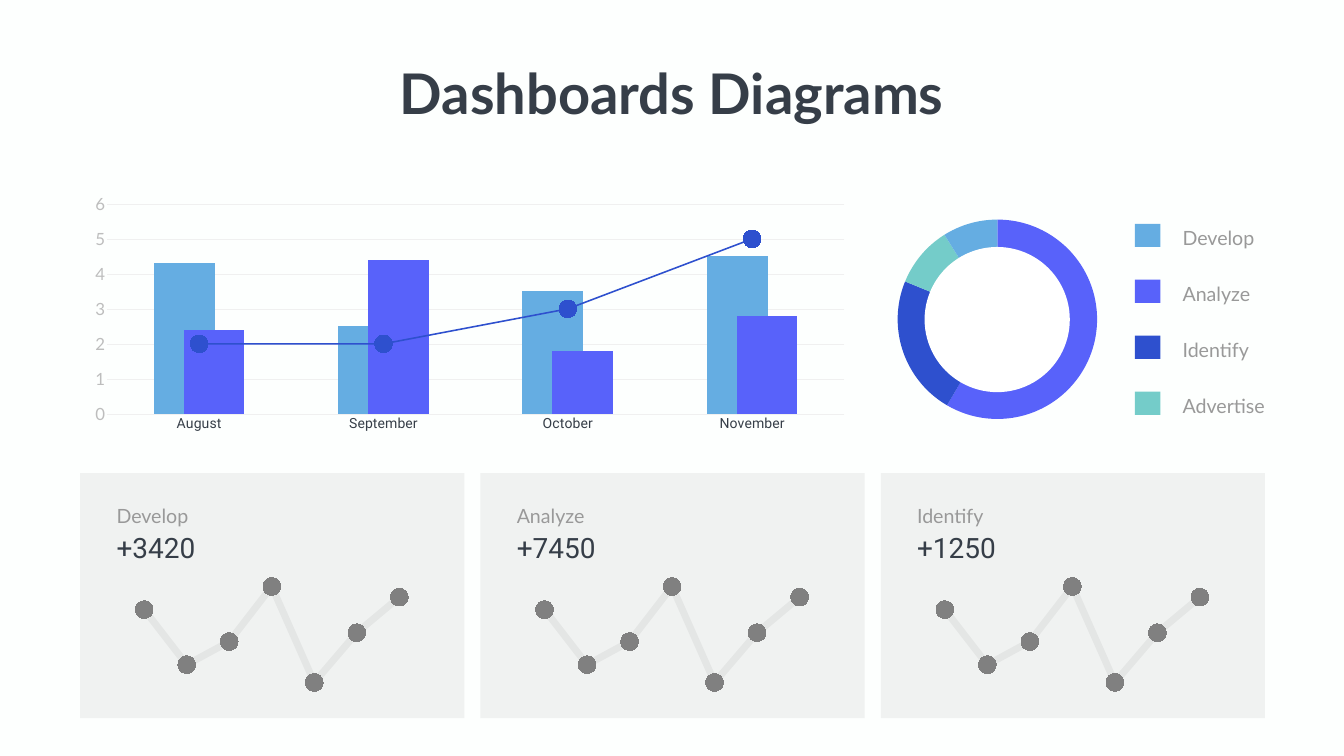
from dataclasses import dataclass

from lxml.etree import SubElement
from pptx import Presentation
from pptx.chart.data import CategoryChartData
from pptx.dml.color import RGBColor
from pptx.enum.chart import XL_CHART_TYPE, XL_MARKER_STYLE, XL_TICK_MARK
from pptx.enum.shapes import MSO_SHAPE
from pptx.enum.text import PP_ALIGN
from pptx.oxml import parse_xml
from pptx.oxml.ns import nsdecls, qn
from pptx.util import Pt


@dataclass(frozen=True)
class Theme:
    background: str = "FDFFFE"
    ink: str = "363E48"
    muted: str = "999999"
    scale: str = "BDBDBD"
    grid: str = "F0F0F0"
    gray: str = "808080"
    white: str = "FFFFFF"
    sky: str = "65ADE2"
    violet: str = "5862FA"
    blue: str = "2E50CE"
    teal: str = "74CCC9"
    heading_font: str = "Lato"
    number_font: str = "Roboto"
    title_size: int = 80
    figure_size: int = 40
    label_size: int = 28
    scale_size: int = 24
    category_size: int = 20
    marker_size: int = 25
    label_leading: float = 40.8


def style_font(font, size, color, name, bold=False):
    font.size, font.name, font.bold = Pt(size), name, bold
    font.color.rgb = RGBColor.from_string(color)


def paint(fill, color):
    fill.solid()
    fill.fore_color.rgb = RGBColor.from_string(color)


def draw_line(line, color, width):
    paint(line.fill, color)
    line.width = Pt(width)


def fade(element, percent):
    color = next(element.iter(qn("a:srgbClr")))
    SubElement(color, qn("a:alpha"), val=str(percent * 1000))


class DashboardPage:
    """Draws the elements of a dashboard page in one theme."""

    def __init__(self, deck, theme):
        self.theme = theme
        self.page = deck.slides.add_slide(deck.slide_layouts[6])
        paint(self.page.background.fill, theme.background)

    def text(self, place, words, size, color, font, bold=False, align=PP_ALIGN.LEFT,
             leading=None, insets=(7.2, 3.6), wrap=True):
        frame = self.page.shapes.add_textbox(*map(Pt, place)).text_frame
        frame.word_wrap = wrap
        frame.margin_left = frame.margin_right = Pt(insets[0])
        frame.margin_top = frame.margin_bottom = Pt(insets[1])
        frame.text = words
        paragraph = frame.paragraphs[0]
        paragraph.alignment = align
        if leading:
            paragraph.line_spacing = Pt(leading)
        style_font(paragraph.runs[0].font, size, color, font, bold)

    def label(self, place, words, insets=(7.2, 3.6)):
        theme = self.theme
        self.text(place, words, theme.label_size, theme.muted, theme.heading_font,
                  leading=theme.label_leading, insets=insets)

    def shape(self, kind, place, color, opacity=None):
        shape = self.page.shapes.add_shape(kind, *map(Pt, place))
        shape.shadow.inherit = False
        paint(shape.fill, color)
        shape.line.fill.background()
        if opacity:
            fade(shape.element.spPr, opacity)

    def chart(self, kind, place, categories, columns, layout):
        data = CategoryChartData()
        data.categories = categories
        for number, values in enumerate(columns, 1):
            data.add_series(f"Series {number}", values)
        chart = self.page.shapes.add_chart(kind, *map(Pt, place), data).chart
        chart.has_legend = chart.has_title = False
        style_font(chart.font, self.theme.category_size, self.theme.muted, self.theme.heading_font)
        root = chart.element
        root.find(qn("c:chart")).addnext(parse_xml(
            f"<c:spPr {nsdecls('c', 'a')}><a:noFill/><a:ln><a:noFill/></a:ln></c:spPr>"))
        area = next(root.iter(qn("c:plotArea")))
        for old in area.findall(qn("c:layout")):
            area.remove(old)
        frame = SubElement(area, qn("c:layout"))
        area.insert(0, frame)
        manual = SubElement(frame, qn("c:manualLayout"))
        settings = [("layoutTarget", "inner"), ("xMode", "edge"), ("yMode", "edge")]
        for tag, value in settings + list(zip("xywh", layout)):
            SubElement(manual, qn(f"c:{tag}"), val=str(value))
        return chart

    def line_series(self, series, color, width):
        series.smooth = False
        draw_line(series.format.line, color, width)
        series.marker.style = XL_MARKER_STYLE.CIRCLE
        series.marker.size = self.theme.marker_size
        paint(series.marker.format.fill, color)
        series.marker.format.line.fill.background()

    def combined_chart(self, place, categories, columns, colors):
        theme = self.theme
        chart = self.chart(XL_CHART_TYPE.COLUMN_CLUSTERED, place, categories, columns,
                           (0.04, 0.07, 0.94, 0.82))
        bars = chart.plots[0]
        bars.vary_by_categories = False
        bars.gap_width, bars.overlap = 154, 51
        bar_group = next(chart.element.iter(qn("c:barChart")))
        trend = bar_group.findall(qn("c:ser"))[-1]
        for flag in trend.findall(qn("c:invertIfNegative")):
            trend.remove(flag)
        line_group = parse_xml(
            f'<c:lineChart {nsdecls("c")}><c:grouping val="standard"/>'
            '<c:varyColors val="0"/><c:marker val="1"/></c:lineChart>')
        line_group.insert(2, trend)
        for axis in bar_group.findall(qn("c:axId")):
            SubElement(line_group, qn("c:axId"), val=axis.get("val"))
        bar_group.addnext(line_group)
        for series, color in zip(bars.series, colors):
            paint(series.format.fill, color)
        self.line_series(chart.plots[1].series[0], colors[-1], 2.25)
        for axis in (chart.category_axis, chart.value_axis):
            axis.major_tick_mark = axis.minor_tick_mark = XL_TICK_MARK.NONE
        draw_line(chart.category_axis.format.line, theme.grid, 0.75)
        style_font(chart.category_axis.tick_labels.font, theme.category_size, theme.ink,
                   theme.number_font)
        scale = chart.value_axis
        scale.minimum_scale, scale.maximum_scale, scale.major_unit = 0, 6, 1
        scale.format.line.fill.background()
        draw_line(scale.major_gridlines.format.line, theme.grid, 0.75)
        style_font(scale.tick_labels.font, theme.scale_size, theme.scale, theme.heading_font)

    def ring(self, place, values, colors, hole):
        names = [str(number) for number in range(1, len(values) + 1)]
        chart = self.chart(XL_CHART_TYPE.PIE, place, names, [values], (0.05, 0.03, 0.9, 0.94))
        for index, color in enumerate(colors):
            point = chart.plots[0].series[0].points[index].format
            paint(point.fill, color)
            point.line.fill.background()
        self.shape(MSO_SHAPE.OVAL, hole, self.theme.white)

    def sparkline(self, place, values):
        names = [str(number) for number in range(1, len(values) + 1)]
        chart = self.chart(XL_CHART_TYPE.LINE_MARKERS, place, names, [values],
                           (0.02, 0.02, 0.96, 0.96))
        chart.plots[0].vary_by_categories = False
        self.line_series(chart.plots[0].series[0], self.theme.gray, 10)
        fade(next(next(chart.element.iter(qn("c:ser"))).iter(qn("a:ln"))), 10)
        chart.value_axis.has_major_gridlines = False
        chart.value_axis.minimum_scale, chart.value_axis.maximum_scale = 0, 116
        chart.category_axis.visible = chart.value_axis.visible = False

    def legend(self, left, top, pitch, entries):
        for row, (name, color) in enumerate(entries):
            y = top + row * pitch
            self.shape(MSO_SHAPE.RECTANGLE, (left, y, 36.7, 33.1), color)
            self.label((left + 51, y - 12.3, 157.7, 54.7), name, insets=(17.3, 8.6))

    def card(self, left, top, name, figure, values):
        theme = self.theme
        self.shape(MSO_SHAPE.RECTANGLE, (left, top, 548.6, 350), theme.gray, opacity=10)
        self.label((left + 44.8, top + 33.8, 162, 44.6), name)
        self.text((left + 44.8, top + 78.5, 212.4, 55.4), figure, theme.figure_size,
                  theme.ink, theme.number_font)
        self.sparkline((left + 52.3, top + 115.2, 442.8, 306.7), values)


def main():
    deck = Presentation()
    deck.slide_width, deck.slide_height = Pt(1919.52), Pt(1080)
    theme = Theme()
    board = DashboardPage(deck, theme)
    board.combined_chart(
        (108, 265.7, 1120.3, 365.8), ["August", "September", "October", "November"],
        [(4.3, 2.5, 3.5, 4.5), (2.4, 4.4, 1.8, 2.8), (2, 2, 3, 5)],
        [theme.sky, theme.violet, theme.blue])
    board.legend(1620.7, 319.7, 79.92, [("Develop", theme.sky), ("Analyze", theme.violet),
                                        ("Identify", theme.blue), ("Advertise", theme.teal)])
    board.ring((1265, 304.6, 319, 303.1), (59, 23, 10, 9),
               [theme.violet, theme.blue, theme.teal, theme.sky], (1320.5, 352.8, 207.4, 207.4))
    cards = [("Develop", "+3420"), ("Analyze", "+7450"), ("Identify", "+1250")]
    for column, (name, figure) in enumerate(cards):
        board.card(114.5 + column * 571.7, 676, name, figure, (87, 56, 69, 100, 46, 74, 94))
    board.text((555.8, 80.6, 807.8, 104.4), "Dashboards Diagrams", theme.title_size, theme.ink,
               theme.heading_font, bold=True, align=PP_ALIGN.CENTER, wrap=False)
    deck.save("out.pptx")


if __name__ == "__main__":
    main()
